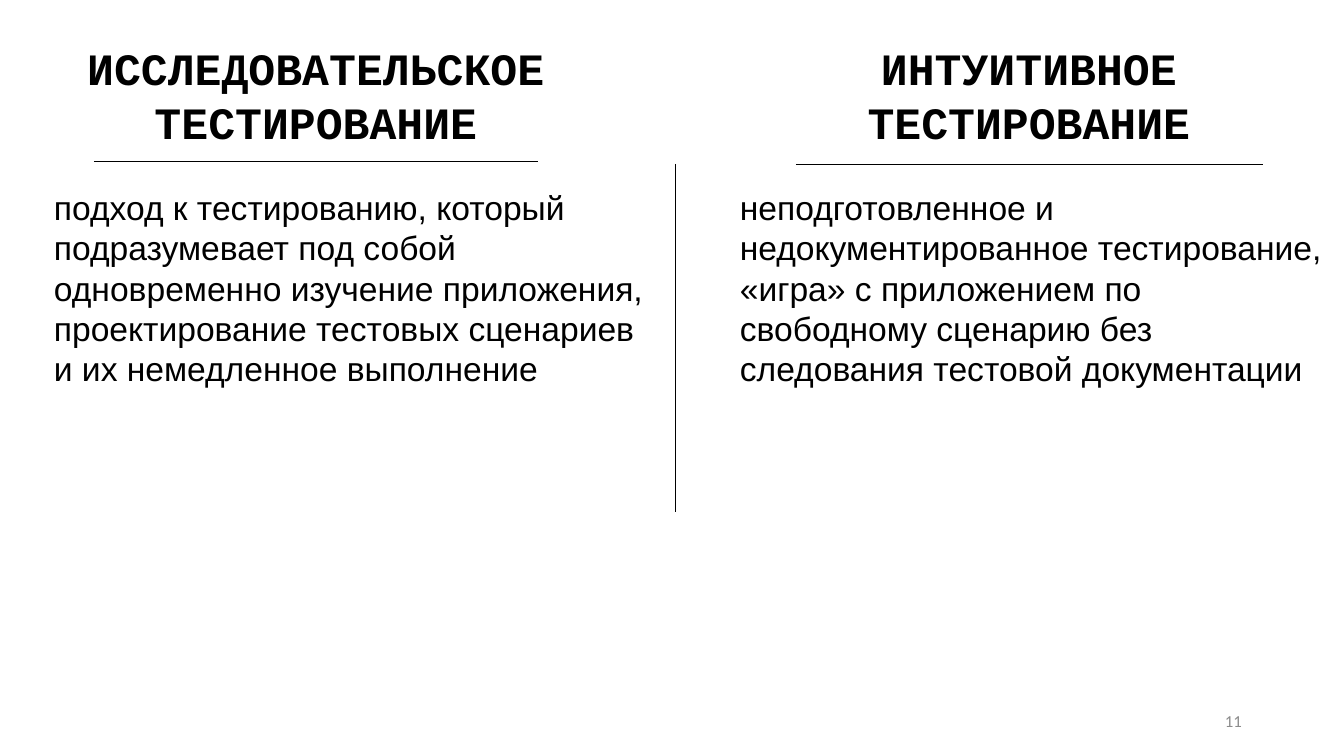
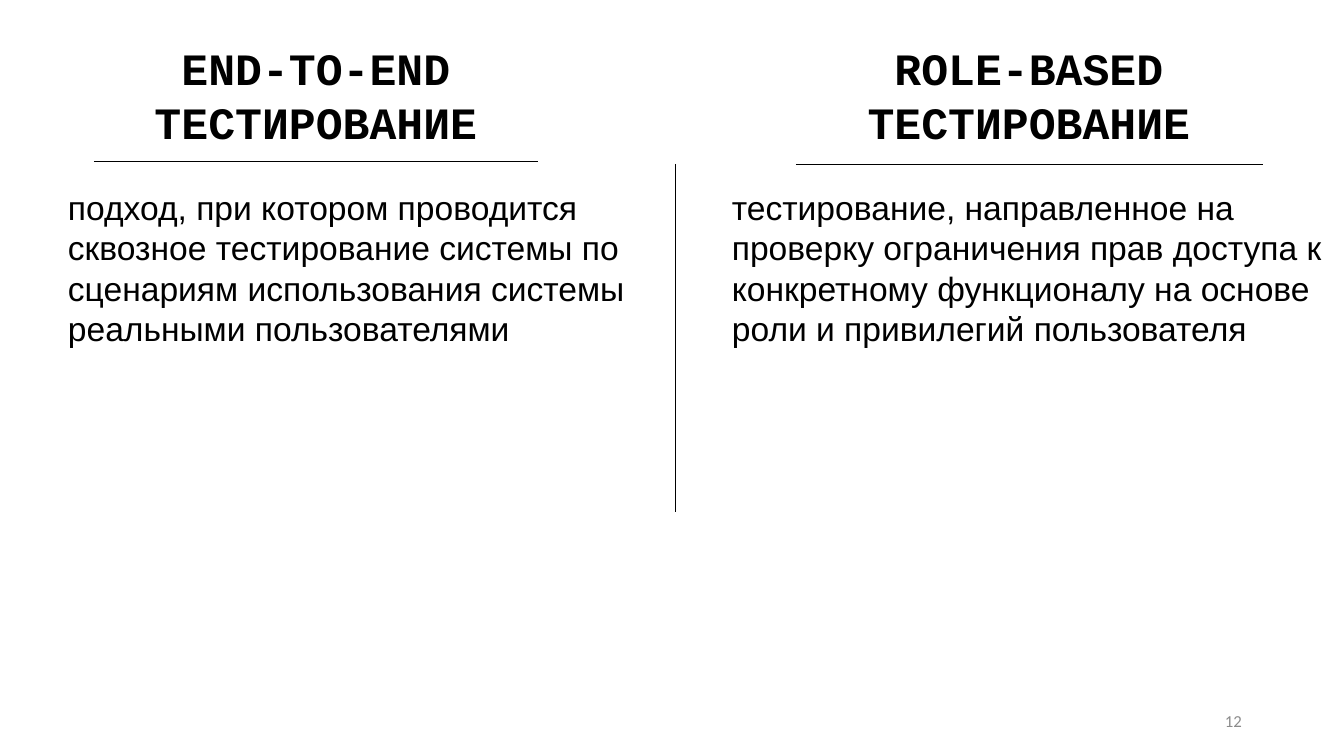
from dataclasses import dataclass

from lxml import etree
from pptx import Presentation
from pptx.dml.color import RGBColor
from pptx.enum.shapes import MSO_CONNECTOR
from pptx.enum.text import MSO_ANCHOR, MSO_AUTO_SIZE, PP_ALIGN
from pptx.oxml.ns import qn
from pptx.util import Pt

PIXEL = 914400 / 100.8
PAGE_WIDTH, PAGE_HEIGHT = 1344, 756

BLACK = RGBColor(0x00, 0x00, 0x00)
GREY = RGBColor(0x8C, 0x8C, 0x8C)
WHITE = RGBColor(0xFF, 0xFF, 0xFF)

LEFT, CENTER, RIGHT = PP_ALIGN.LEFT, PP_ALIGN.CENTER, PP_ALIGN.RIGHT
TOP, MIDDLE = MSO_ANCHOR.TOP, MSO_ANCHOR.MIDDLE
GROW, FIXED = MSO_AUTO_SIZE.SHAPE_TO_FIT_TEXT, MSO_AUTO_SIZE.NONE
STRAIGHT = MSO_CONNECTOR.STRAIGHT

HEADING_TOP, HEADING_HEIGHT = 36, 119
HEADING_LETTER, HEADING_PADDING = 27, 24
BODY_TOP, BODY_LINE, BODY_PADDING = 182, 41, 10
LEFT_RULE = (94, 161, 538, 161)
RIGHT_RULE = (796, 164, 1263, 164)
DIVIDER = (675, 164, 675, 512)
NUMBER_BOX = (950, 701, 302, 40)


@dataclass
class TextStyle:
    """Look and layout of one kind of text."""
    font: str
    size: int
    color: RGBColor
    bold: bool = False
    align: PP_ALIGN = LEFT
    anchor: MSO_ANCHOR = TOP
    wrap: bool = True
    fit: MSO_AUTO_SIZE = GROW


@dataclass
class Topic:
    """A kind of testing, its definition and the span of its body text."""
    name: str
    definition: str
    left: int
    width: int
    lines: int


HEADING = TextStyle("Courier New", 32, BLACK, bold=True, align=CENTER, wrap=False)
BODY = TextStyle("Arial", 24, BLACK)
NUMBER = TextStyle("Calibri", 12, GREY, align=RIGHT, anchor=MIDDLE, fit=FIXED)

COMPARISONS = [
    (Topic("ИССЛЕДОВАТЕЛЬСКОЕ",
           "подход к тестированию, который подразумевает под собой "
           "одновременно изучение приложения, проектирование тестовых "
           "сценариев и их немедленное выполнение", 44, 617, 5),
     Topic("ИНТУИТИВНОЕ",
           "неподготовленное и недокументированное тестирование, «игра» "
           "с приложением по свободному сценарию без следования тестовой "
           "документации", 730, 614, 5)),
    (Topic("END-TO-END",
           "подход, при котором проводится сквозное тестирование системы "
           "по сценариям использования системы реальными пользователями",
           58, 617, 4),
     Topic("ROLE-BASED",
           "тестирование, направленное на проверку ограничения прав "
           "доступа к конкретному функционалу на основе роли и привилегий "
           "пользователя", 722, 616, 4)),
]


def emu(pixels):
    """Turn pixels into EMU."""
    return round(pixels * PIXEL)


def add_text(page, box, lines, style):
    """Place one paragraph per line in the box."""
    shape = page.shapes.add_textbox(*map(emu, box))
    frame = shape.text_frame
    frame.word_wrap = style.wrap
    frame.auto_size = style.fit
    frame.vertical_anchor = style.anchor
    for index, line in enumerate(lines):
        para = frame.add_paragraph() if index else frame.paragraphs[0]
        para.alignment = style.align
        span = para.add_run()
        span.text = line
        span.font.name = style.font
        span.font.size = Pt(style.size)
        span.font.bold = style.bold
        span.font.color.rgb = style.color


def add_rule(page, ends):
    """Draw a thin black line between two points."""
    rule = page.shapes.add_connector(STRAIGHT, *map(emu, ends))
    rule.line.color.rgb = BLACK
    rule.line.width = Pt(0.5)
    etree.SubElement(rule._element.spPr, qn("a:effectLst"))


def add_topic(page, topic, rule, center):
    """Place a heading around its center, the rule below it and the body."""
    lines = [topic.name, "ТЕСТИРОВАНИЕ"]
    width = max(map(len, lines)) * HEADING_LETTER + HEADING_PADDING
    add_text(page, (center - width / 2, HEADING_TOP, width, HEADING_HEIGHT),
             lines, HEADING)
    add_rule(page, rule)
    height = topic.lines * BODY_LINE + BODY_PADDING
    add_text(page, (topic.left, BODY_TOP, topic.width, height),
             [topic.definition], BODY)


def add_comparison(deck, left_topic, right_topic, number):
    """Build a slide that sets two topics side by side."""
    page = deck.slides.add_slide(deck.slide_layouts[6])
    page.background.fill.solid()
    page.background.fill.fore_color.rgb = WHITE
    add_topic(page, left_topic, LEFT_RULE, 316)
    add_topic(page, right_topic, RIGHT_RULE, 1029)
    add_rule(page, DIVIDER)
    add_text(page, NUMBER_BOX, [str(number)], NUMBER)


def main():
    """Build and save the deck."""
    deck = Presentation()
    deck.slide_width, deck.slide_height = emu(PAGE_WIDTH), emu(PAGE_HEIGHT)
    for number, topics in enumerate(COMPARISONS, start=11):
        add_comparison(deck, *topics, number)
    deck.save("out.pptx")


main()
